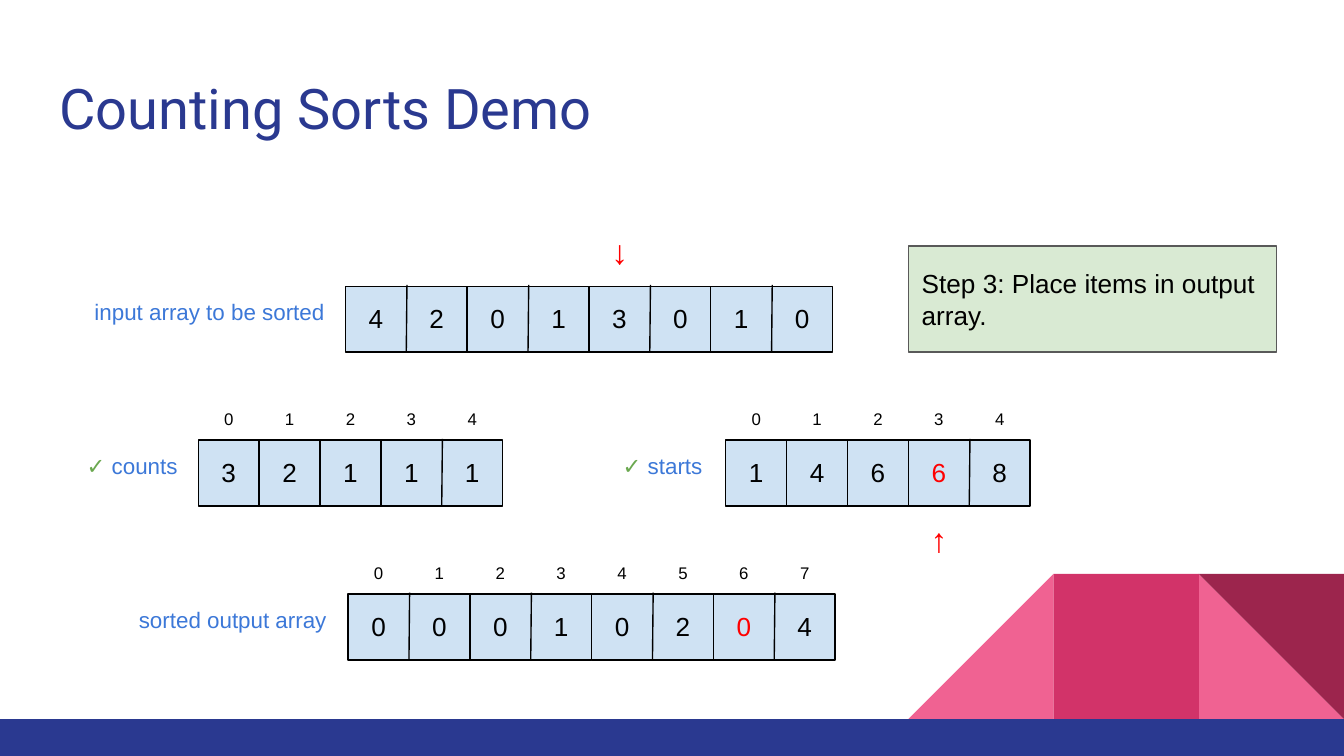
from lxml.etree import SubElement
from pptx import Presentation
from pptx.dml.color import RGBColor
from pptx.enum.shapes import MSO_CONNECTOR, MSO_SHAPE
from pptx.enum.text import MSO_ANCHOR, PP_ALIGN
from pptx.oxml.ns import qn
from pptx.util import Inches, Pt

COLORS = {
    "title": "2A3990", "pink": "F06292", "rose": "D23369", "wine": "9C254D",
    "cell": "CFE2F3", "note": "D9EAD3", "note_line": "595959",
    "label": "3C78D8", "check": "6AA84F", "mark": "FF0000", "black": "000000",
}

deck = Presentation()
deck.slide_width = Inches(10)
deck.slide_height = deck.slide_width * 9 // 16
page = deck.slides.add_slide(deck.slide_layouts[6])

# Square grid, 100 columns across the slide
UNIT = deck.slide_width / 100
BOTTOM = 56.25
CELL_WIDTH, CELL_HEIGHT = 4.53, 5
BLOCK = 4  # cells in one outlined block


def grid(*places):
    return [round(place * UNIT) for place in places]


def write(spans, *place, box=None, size=14, font="Arial",
          align=PP_ALIGN.CENTER, anchor=MSO_ANCHOR.TOP):
    """Set (text, colour name) spans in a given box, or in a new one at place."""
    box = box or page.shapes.add_textbox(*grid(*place))
    frame = box.text_frame
    frame.word_wrap = True
    frame.vertical_anchor = anchor
    frame.margin_left = frame.margin_right = Inches(0.1)
    frame.margin_top = frame.margin_bottom = Inches(0.1)
    para = frame.paragraphs[0]
    para.alignment = align
    for text, color in spans:
        span = para.add_run()
        span.text = text
        span.font.size, span.font.name = Pt(size), font
        span.font.color.rgb = RGBColor.from_string(COLORS[color])


# Corner decoration and bottom bar
SIDE = 10.8
BAR_TOP = 53.5
corner_row = BAR_TOP - SIDE
for kind, column, row, width, height, color in [
    ("right", 100 - SIDE, corner_row, SIDE, SIDE, "pink"),
    ("left", 100 - 3 * SIDE, corner_row, SIDE, SIDE, "pink"),
    ("square", 100 - 2 * SIDE, corner_row, SIDE, SIDE, "rose"),
    ("turned", 100 - SIDE, corner_row, SIDE, SIDE, "wine"),
    ("bar", 0, BAR_TOP, 100, BOTTOM - BAR_TOP, "title"),
]:
    preset = MSO_SHAPE.RECTANGLE if kind in ("square", "bar") else MSO_SHAPE.RIGHT_TRIANGLE
    piece = page.shapes.add_shape(preset, *grid(column, row, width, height))
    piece.shadow.inherit = False
    piece.fill.solid()
    piece.fill.fore_color.rgb = RGBColor.from_string(COLORS[color])
    piece.line.fill.background()
    if kind == "left":
        piece._element.spPr.find(qn("a:xfrm")).set("flipH", "1")
    if kind == "turned":
        piece.rotation = 180

write([("Counting Sorts Demo", "title")], 3.45, 4.5, 93.2, 6.6,
      size=30, font="Roboto", align=PP_ALIGN.LEFT)

# Arrays: values, marked cell, left column, top row, numbered cells
for values, marked, left, top, numbered in [
    ("42013010", None, 25.7, 21.2, False),
    ("32111", None, 14.75, 32.65, True),
    ("14668", 3, 54, 32.65, True),
    ("00010204", 6, 25.9, 44.1, True),
]:
    count = len(values)
    blocks = {}
    for first in (0, count - BLOCK):
        block = page.shapes.add_shape(MSO_SHAPE.RECTANGLE, *grid(
            left + first * CELL_WIDTH, top + 0.1, BLOCK * CELL_WIDTH, CELL_HEIGHT - 0.1))
        block.shadow.inherit = False
        block.fill.solid()
        block.fill.fore_color.rgb = RGBColor.from_string(COLORS["cell"])
        block.line.color.rgb = RGBColor.from_string(COLORS["black"])
        block.line.width = Pt(0.75)
        blocks[first] = block

    for boundary in range(1, count):
        if boundary in blocks:  # the side of a block already divides here
            continue
        column = left + boundary * CELL_WIDTH
        divider = page.shapes.add_connector(MSO_CONNECTOR.STRAIGHT, *grid(
            column + 0.05, top, column, top + CELL_HEIGHT))
        divider.line.color.rgb = RGBColor.from_string(COLORS["black"])
        divider.line.width = Pt(0.75)
        SubElement(divider._element.spPr, qn("a:effectLst"))
        halved = blocks.get(boundary - BLOCK // 2)
        if halved is not None:
            divider.begin_connect(halved, 0)
            divider.end_connect(halved, 2)

    for index, value in enumerate(values):
        column = left + index * CELL_WIDTH
        write([(value, "mark" if index == marked else "black")],
              column, top, CELL_WIDTH, CELL_HEIGHT, anchor=MSO_ANCHOR.MIDDLE)
        if numbered:
            write([(str(index), "black")], column, top - 3, CELL_WIDTH, 3.3, size=9)

# Array labels
check = ("✓ ", "check")
for spans, column, row, width in [
    ([("input array to be sorted", "label")], 3.45, 21.2, 21.7),
    ([("sorted output array", "label")], 6.2, 44.1, 19.1),
    ([check, ("counts", "label")], 3.4, 32.65, 10.8),
    ([check, ("starts", "label")], 42.45, 32.65, 10.8),
]:
    write(spans, column, row, width, CELL_HEIGHT, size=12, align=PP_ALIGN.RIGHT)

# Step note
note = page.shapes.add_shape(MSO_SHAPE.RECTANGLE, *grid(67.6, 18.3, 27.4, 7.9))
note.shadow.inherit = False
note.fill.solid()
note.fill.fore_color.rgb = RGBColor.from_string(COLORS["note"])
note.line.color.rgb = RGBColor.from_string(COLORS["note_line"])
note.line.width = Pt(0.75)
write([("Step 3: Place items in output array.", "black")], box=note,
      align=PP_ALIGN.LEFT, anchor=MSO_ANCHOR.MIDDLE)

# Pointers to the current item and its start
write([("↓", "mark")], 43.85, 16.2, CELL_WIDTH, CELL_HEIGHT, size=18, anchor=MSO_ANCHOR.MIDDLE)
write([("↑", "mark")], 67.6, 37.65, CELL_WIDTH, CELL_HEIGHT, size=18, anchor=MSO_ANCHOR.BOTTOM)

deck.save("out.pptx")
